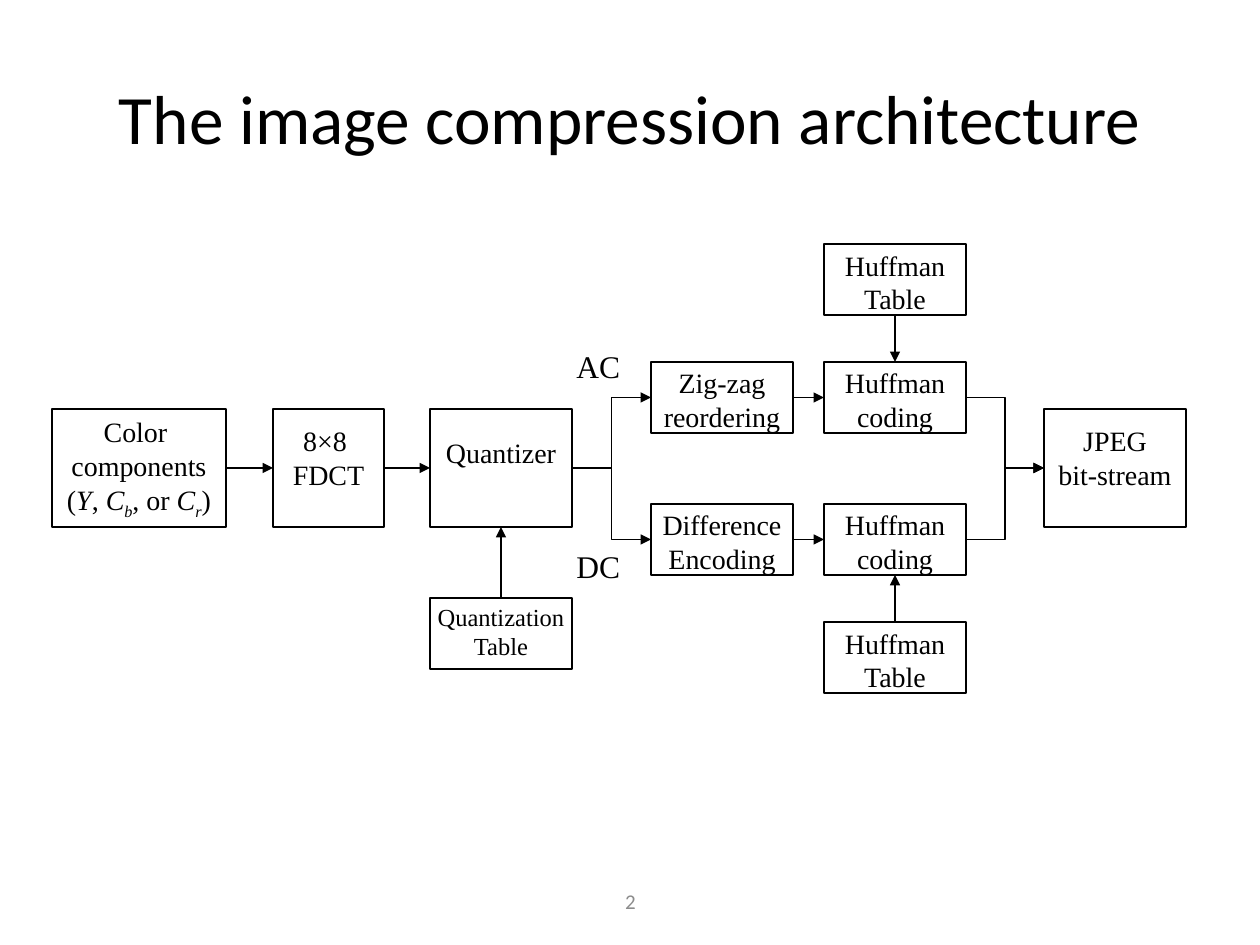
from pptx import Presentation
from pptx.dml.color import RGBColor
from pptx.enum.shapes import MSO_CONNECTOR as LINK, MSO_SHAPE as SHAPE
from pptx.enum.text import MSO_ANCHOR as ANCHOR, PP_ALIGN as ALIGN
from pptx.oxml.ns import qn
from pptx.util import Pt
from lxml.etree import SubElement

# Content
TITLE = "The image compression architecture"
SERIF, SANS = "Times New Roman", "Calibri"
BLACK, WHITE, GRAY = "000000", "FFFFFF", "8C8C8C"

# Text parts: (text, style), i = italic, s = subscript
COLOR = [("Color \ncomponents\n(", ""), ("Y", "i"), (", ", ""), ("C", "i"),
         ("b", "is"), (", or ", ""), ("C", "i"), ("r", "is"), (")", "")]

# Columns (left, width) and rows (top, height)
COLS = {"color": (52, 174), "fdct": (273, 111), "quant": (430, 142),
        "code": (651, 142), "huff": (824, 142), "out": (1044, 142)}
ROWS = {"top": (244, 71), "ac": (362, 71), "mid": (409, 118),
        "dc": (504, 71), "qtab": (598, 71), "low": (622, 71)}

# Name: column, row, text, size, top inset
BOXES = {
    "color": ("color", "mid", COLOR, 16, 6),
    "fdct": ("fdct", "mid", "8×8 \nFDCT", 16, 15),
    "quant": ("quant", "mid", "Quantizer", 16, 27),
    "qtab": ("quant", "qtab", "Quantization\nTable", 14, 4),
    "zigzag": ("code", "ac", "Zig-zag reordering", 16, 4),
    "diff": ("code", "dc", "Difference\nEncoding", 16, 4),
    "huff ac": ("huff", "ac", "Huffman\ncoding", 16, 4),
    "huff dc": ("huff", "dc", "Huffman\ncoding", 16, 4),
    "tab ac": ("huff", "top", "Huffman\nTable", 16, 4),
    "tab dc": ("huff", "low", "Huffman\nTable", 16, 4),
    "out": ("out", "mid", "JPEG\nbit-stream", 16, 15),
}

# Connection sites of a rectangle
TOP, LEFT, BOTTOM, RIGHT = range(4)
ACROSS, DOWN, UP = (RIGHT, LEFT), (BOTTOM, TOP), (TOP, BOTTOM)
LINKS = [
    ("color", "fdct", ACROSS), ("fdct", "quant", ACROSS),
    ("quant", "zigzag", ACROSS), ("quant", "diff", ACROSS),
    ("zigzag", "huff ac", ACROSS), ("diff", "huff dc", ACROSS),
    ("huff ac", "out", ACROSS), ("huff dc", "out", ACROSS),
    ("tab ac", "huff ac", DOWN), ("tab dc", "huff dc", UP),
    ("qtab", "quant", UP),
]

# Text, place, size, font, color, alignment, anchor
LABELS = [
    ("AC", (564, 341, 69, 50), 18, SERIF, BLACK, ALIGN.LEFT, ANCHOR.TOP),
    ("DC", (564, 541, 69, 50), 18, SERIF, BLACK, ALIGN.LEFT, ANCHOR.TOP),
    ("2", (431, 876, 399, 50), 12, SANS, GRAY, ALIGN.CENTER, ANCHOR.MIDDLE),
]


# Helpers
def px(*vals):
    return [round(v * 914400 / 126) for v in vals]


def rgb(code):
    return RGBColor.from_string(code)


def write(frame, parts, size, face, color, align):
    if isinstance(parts, str):
        parts = [(parts, "")]
    para = frame.paragraphs[0]
    para.alignment = align
    para.text = parts[0][0]
    for text, style in parts[1:]:
        run = para.add_run()
        run.text = text
        run.font.italic = "i" in style
        if "s" in style:
            run._r.get_or_add_rPr().set("baseline", "-25000")
    for run in para.runs:
        run.font.size, run.font.name = Pt(size), face
        run.font.color.rgb = rgb(color)


def add_box(col, row, parts, size, inset):
    (left, wide), (top, high) = COLS[col], ROWS[row]
    box = slide.shapes.add_shape(SHAPE.RECTANGLE, *px(left, top, wide, high))
    box.shadow.inherit = False
    box.fill.solid()
    box.fill.fore_color.rgb = rgb(WHITE)
    box.line.color.rgb = rgb(BLACK)
    box.line.width = Pt(0.75)
    frame = box.text_frame
    frame.word_wrap = True
    frame.vertical_anchor = ANCHOR.TOP
    frame.margin_left = frame.margin_right = frame.margin_bottom = 0
    frame.margin_top = px(inset)[0]
    write(frame, parts, size, SERIF, BLACK, ALIGN.CENTER)
    return box


def site(box, side):
    x = {LEFT: 0, RIGHT: box.width}.get(side, box.width // 2)
    y = {TOP: 0, BOTTOM: box.height}.get(side, box.height // 2)
    return box.left + x, box.top + y


def add_link(start, end, sides):
    a, b = site(start, sides[0]), site(end, sides[1])
    kind = LINK.STRAIGHT if a[0] == b[0] or a[1] == b[1] else LINK.ELBOW
    link = slide.shapes.add_connector(kind, *a, *b)
    link.begin_connect(start, sides[0])
    link.end_connect(end, sides[1])
    link.line.color.rgb = rgb(BLACK)
    link.line.width = Pt(0.75)
    SubElement(link.line._get_or_add_ln(), qn("a:tailEnd"), type="triangle")
    SubElement(link._element.spPr, qn("a:effectLst"))


# Slide and title
deck = Presentation()
deck.slide_width, deck.slide_height = px(1260, 945)
slide = deck.slides.add_slide(deck.slide_layouts[5])
title = slide.shapes.title
title.left, title.top, title.width, title.height = px(63, 38, 1134, 157)
title.text_frame.vertical_anchor = ANCHOR.MIDDLE
write(title.text_frame, TITLE, 39.6, SANS, BLACK, ALIGN.CENTER)

# Diagram
boxes = {name: add_box(*data) for name, data in BOXES.items()}
for start, end, sides in LINKS:
    add_link(boxes[start], boxes[end], sides)

# Branch labels and page number
for text, place, size, face, color, align, anchor in LABELS:
    label = slide.shapes.add_textbox(*px(*place))
    label.text_frame.vertical_anchor = anchor
    write(label.text_frame, text, size, face, color, align)

deck.save("out.pptx")
